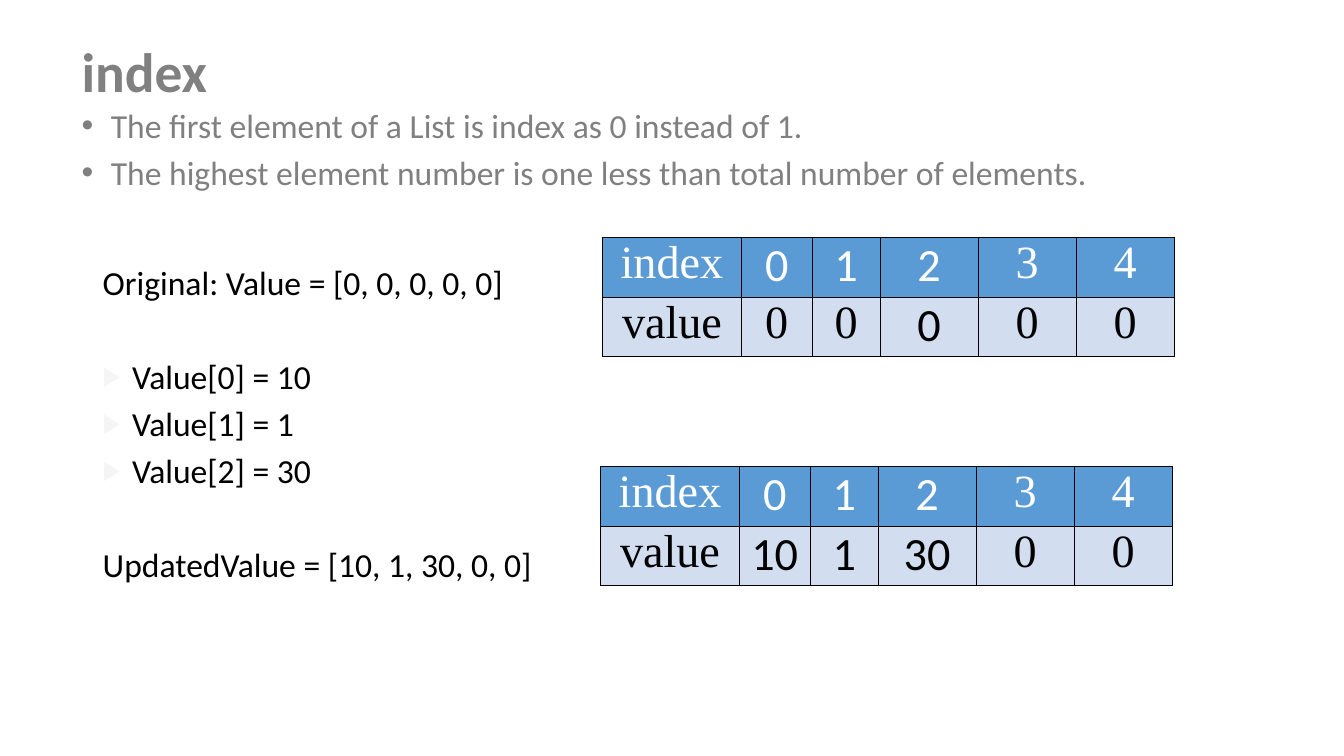
from lxml.etree import SubElement
from pptx import Presentation
from pptx.dml.color import RGBColor
from pptx.enum.text import MSO_ANCHOR, MSO_AUTO_SIZE, PP_ALIGN
from pptx.oxml.ns import qn
from pptx.util import Cm, Pt

COLORS = {
    "grey": "808080",
    "black": "000000",
    "white": "FFFFFF",
    "header": "5B9BD5",
    "value": "D2DEEF",
    "marker": "F5F5F5",
}
SANS, SERIF = "Calibri", "Times New Roman"
COLUMN_WIDTHS = [3.49, 1.79, 1.71, 2.47, 2.47, 2.47]
ROW_HEIGHT = 1.5
LINE_GAP, BLOCK_GAP = 7.7, 41.3


def rgb(name):
    return RGBColor.from_string(COLORS[name])


def add_solid_fill(parent, color):
    fill = SubElement(parent, qn("a:solidFill"))
    SubElement(fill, qn("a:srgbClr"), val=COLORS[color])


class SlideBuilder:
    """Holds the text style and the slide being built."""

    def __init__(self, slide):
        self.slide = slide
        self.text_size = 24
        self.table_size = 33

    def place(self, shape, left, top, width, height):
        shape.left, shape.top = Cm(left), Cm(top)
        shape.width, shape.height = Cm(width), Cm(height)

    def style(self, paragraph, size, color, font=SANS, bold=False):
        for run in paragraph.runs:
            run.font.name = font
            run.font.size = Pt(size)
            run.font.bold = bold
            run.font.color.rgb = rgb(color)

    def bullet(self, paragraph, character, color, percent):
        properties = paragraph._p.get_or_add_pPr()
        properties.set("marL", str(Cm(0.74)))
        properties.set("indent", str(Cm(-0.74)))
        bullet_color = SubElement(properties, qn("a:buClr"))
        SubElement(bullet_color, qn("a:srgbClr"), val=COLORS[color])
        SubElement(properties, qn("a:buSzPct"), val=str(percent * 1000))
        SubElement(properties, qn("a:buFont"), typeface="Arial")
        SubElement(properties, qn("a:buChar"), char=character)

    def title(self, text, *box):
        shape = self.slide.shapes.title
        self.place(shape, *box)
        frame = shape.text_frame
        frame.text = text
        frame.auto_size = MSO_AUTO_SIZE.NONE
        frame.vertical_anchor = MSO_ANCHOR.MIDDLE
        paragraph = frame.paragraphs[0]
        paragraph.alignment = PP_ALIGN.LEFT
        paragraph.line_spacing = 0.9
        self.style(paragraph, 39.6, "grey", bold=True)

    def lines(self, shape, lines, color, marker):
        """Fill a shape from (text, space before, has bullet) lines."""
        frame = shape.text_frame
        frame.word_wrap = True
        frame.auto_size = MSO_AUTO_SIZE.NONE
        frame.text = "\n".join(text for text, _, _ in lines)
        for paragraph, (_, gap, has_bullet) in zip(frame.paragraphs, lines):
            paragraph.line_spacing = 0.9
            paragraph.space_before = Pt(gap)
            paragraph.space_after = Pt(0)
            if has_bullet:
                self.bullet(paragraph, *marker)
            self.style(paragraph, self.text_size, color)

    def body(self, lines, *box):
        shape = self.slide.placeholders[1]
        self.place(shape, *box)
        self.lines(shape, lines, "grey", ("•", "grey", 100))

    def text_box(self, lines, *box):
        shape = self.slide.shapes.add_textbox(*map(Cm, box))
        self.lines(shape, lines, "black", ("▶", "marker", 80))

    def cell(self, cell, text, font, color, fill):
        properties = cell._tc.get_or_add_tcPr()
        for side in ("lnL", "lnR", "lnT", "lnB"):
            border = SubElement(properties, qn(f"a:{side}"), w=str(Pt(1)))
            add_solid_fill(border, "black")
        cell.fill.solid()
        cell.fill.fore_color.rgb = rgb(fill)
        cell.margin_left = cell.margin_right = Cm(0.2)
        cell.margin_top = cell.margin_bottom = 0
        cell.text = text
        paragraph = cell.text_frame.paragraphs[0]
        paragraph.alignment = PP_ALIGN.CENTER
        self.style(paragraph, self.table_size, color, font)

    def list_table(self, values, sans_values, left, top):
        """Draw indexes above values; sans_values are the value columns in the sans font."""
        rows = [
            (["index", *range(len(values))], {1, 2, 3}, "white", "header"),
            (["value", *values], sans_values, "black", "value"),
        ]
        table = self.slide.shapes.add_table(
            len(rows), len(COLUMN_WIDTHS), Cm(left), Cm(top),
            Cm(sum(COLUMN_WIDTHS)), Cm(ROW_HEIGHT * len(rows))).table
        table.first_row = table.horz_banding = False
        for column, width in zip(table.columns, COLUMN_WIDTHS):
            column.width = Cm(width)
        for row, (texts, sans_columns, color, fill) in enumerate(rows):
            table.rows[row].height = Cm(ROW_HEIGHT)
            for column, text in enumerate(texts):
                font = SANS if column in sans_columns else SERIF
                self.cell(table.cell(row, column), str(text), font, color, fill)


def main():
    presentation = Presentation()
    presentation.slide_width, presentation.slide_height = Cm(33.87), Cm(19.05)
    slide = presentation.slides.add_slide(presentation.slide_layouts[1])
    builder = SlideBuilder(slide)
    builder.title("index", 1.8, 1.14, 6.48, 1.47)
    builder.body([
        ("The first element of a List is index as 0 instead of 1.", 0, True),
        ("The highest element number is one less than total number of elements.",
         LINE_GAP, True),
    ], 1.8, 2.62, 30.28, 2.84)
    builder.text_box([
        ("Original: Value = [0, 0, 0, 0, 0]", 0, False),
        ("Value[0] = 10", BLOCK_GAP, True),
        ("Value[1] = 1", LINE_GAP, True),
        ("Value[2] = 30", LINE_GAP, True),
        ("UpdatedValue = [10, 1, 30, 0, 0]", BLOCK_GAP, False),
    ], 2.34, 6.58, 13.59, 9.35)
    builder.list_table([10, 1, 30, 0, 0], {1, 2, 3}, 15.14, 11.76)
    builder.list_table([0, 0, 0, 0, 0], {3}, 15.19, 5.99)
    presentation.save("out.pptx")


if __name__ == "__main__":
    main()
